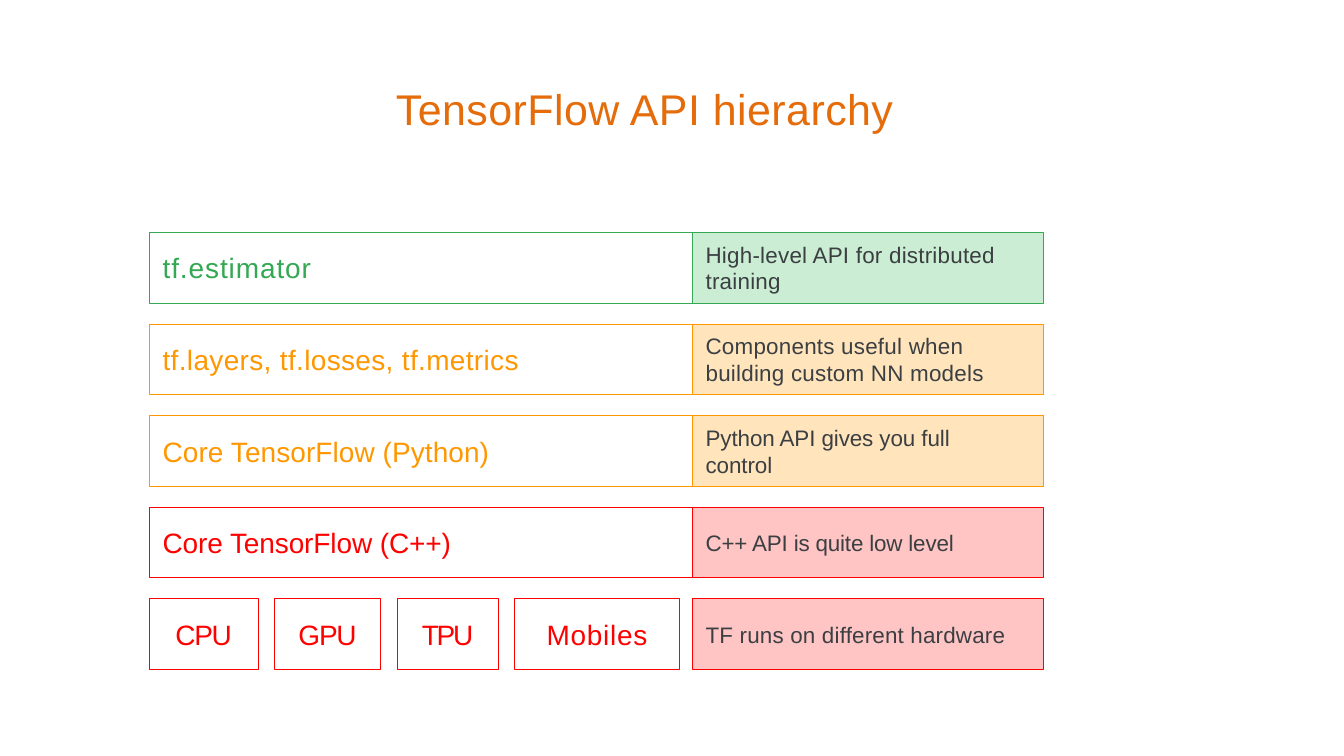
from pptx import Presentation
from pptx.dml.color import RGBColor
from pptx.enum.shapes import MSO_SHAPE
from pptx.enum.text import MSO_ANCHOR, MSO_AUTO_SIZE, PP_ALIGN
from pptx.util import Emu, Pt

RECT = MSO_SHAPE.RECTANGLE
MIDDLE = MSO_ANCHOR.MIDDLE
NO_FIT = MSO_AUTO_SIZE.NONE
LEFT, CENTER = PP_ALIGN.LEFT, PP_ALIGN.CENTER

SCALE = 9144  # EMU in one px, 100 px to the inch
PAD = 20
SPLIT = 808  # width of the left column
GAP = 25  # between hardware boxes

COLORS = {
    "title": "E46C0A", "note": "3B3F42",
    "green": "34A852", "mint": "CAEDD3",
    "amber": "FF9700", "cream": "FFE4BC",
    "red": "FF0000", "pink": "FFC4C4",
}

# name, letter spacing, note, note spacing, line colour, note fill
LAYERS = [
    ("tf.estimator", 1, "High-level API for distributed\vtraining", 0.25,
     "green", "mint"),
    ("tf.layers, tf.losses, tf.metrics", 0.4,
     "Components useful when\vbuilding custom NN models", 0.25,
     "amber", "cream"),
    ("Core TensorFlow (Python)", 0.1,
     "Python API gives you full\vcontrol", -0.1, "amber", "cream"),
    ("Core TensorFlow (C++)", -0.1, "C++ API is quite low level", -0.2,
     "red", "pink"),
]
# name, letter spacing, width
CHIPS = [("CPU", -1.4, 162), ("GPU", -1.3, 157),
         ("TPU", -2.4, 150), ("Mobiles", 0.8, 245)]


def px(n):
    return Emu(round(n * SCALE))


def rgb(name):
    return RGBColor.from_string(COLORS[name])


def write(shape, text, size, color, space, align=LEFT, pad=0):
    """Fill the shape with one paragraph of text."""
    frame = shape.text_frame
    form = {"word_wrap": True, "auto_size": NO_FIT, "vertical_anchor": MIDDLE,
            "margin_left": px(pad), "margin_right": 0,
            "margin_top": 0, "margin_bottom": 0}
    for key, value in form.items():
        setattr(frame, key, value)
    para = frame.paragraphs[0]
    para.text = text
    para.alignment = align
    if "\v" in text:
        para.line_spacing = Pt(28.5)
    for run in para.runs:
        for key, value in {"name": "Arial", "size": Pt(size)}.items():
            setattr(run.font, key, value)
        run.font.color.rgb = rgb(color)
        run._r.get_or_add_rPr().set("spc", str(round(space * 100)))


def add_box(slide, box, line, fill=None):
    shape = slide.shapes.add_shape(RECT, *map(px, box))
    shape.shadow.inherit = False
    shape.line.color.rgb = rgb(line)
    shape.line.width = Pt(0.75)
    if fill:
        shape.fill.solid()
        shape.fill.fore_color.rgb = rgb(fill)
    else:
        shape.fill.background()
    return shape


def add_title(slide, box):
    title = slide.shapes.title
    for key, value in zip(("left", "top", "width", "height"), box):
        setattr(title, key, px(value))
    write(title, "TensorFlow API hierarchy", 46, "title", 0.55)


def add_note(slide, box, text, space, line, fill):
    x, y, w, h = box
    shape = add_box(slide, (x + SPLIT, y, w - SPLIT, h), line, fill)
    write(shape, text, 24, "note", space, pad=PAD)


def add_layer(slide, box, name, space, note, loose, line, fill):
    x, y, w, h = box
    shape = add_box(slide, (x, y, SPLIT, h), line)
    write(shape, name, 30, line, space, pad=PAD)
    add_note(slide, box, note, loose, line, fill)


def add_chips(slide, box):
    x, y, w, h = box
    for name, space, width in CHIPS:
        shape = add_box(slide, (x, y, width, h), "red")
        write(shape, name, 30, "red", space, CENTER)
        x += width + GAP
    add_note(slide, box, "TF runs on different hardware", 0.2, "red", "pink")


def add_stack(slide, box):
    """Stack the API layers, with the hardware row at the bottom."""
    x, y, w, h = box
    high = 105
    step = (h - high) / len(LAYERS)
    for i, layer in enumerate(LAYERS):
        add_layer(slide, (x, y + i * step, w, high), *layer)
    add_chips(slide, (x, y + h - high, w, high))


def main():
    deck = Presentation()
    deck.slide_width, deck.slide_height = px(2000), px(1125)
    slide = deck.slides.add_slide(deck.slide_layouts[5])
    add_title(slide, (589, 122, 821, 79))
    add_stack(slide, (222, 346, 1330, 650))
    deck.save("out.pptx")


if __name__ == "__main__":
    main()
